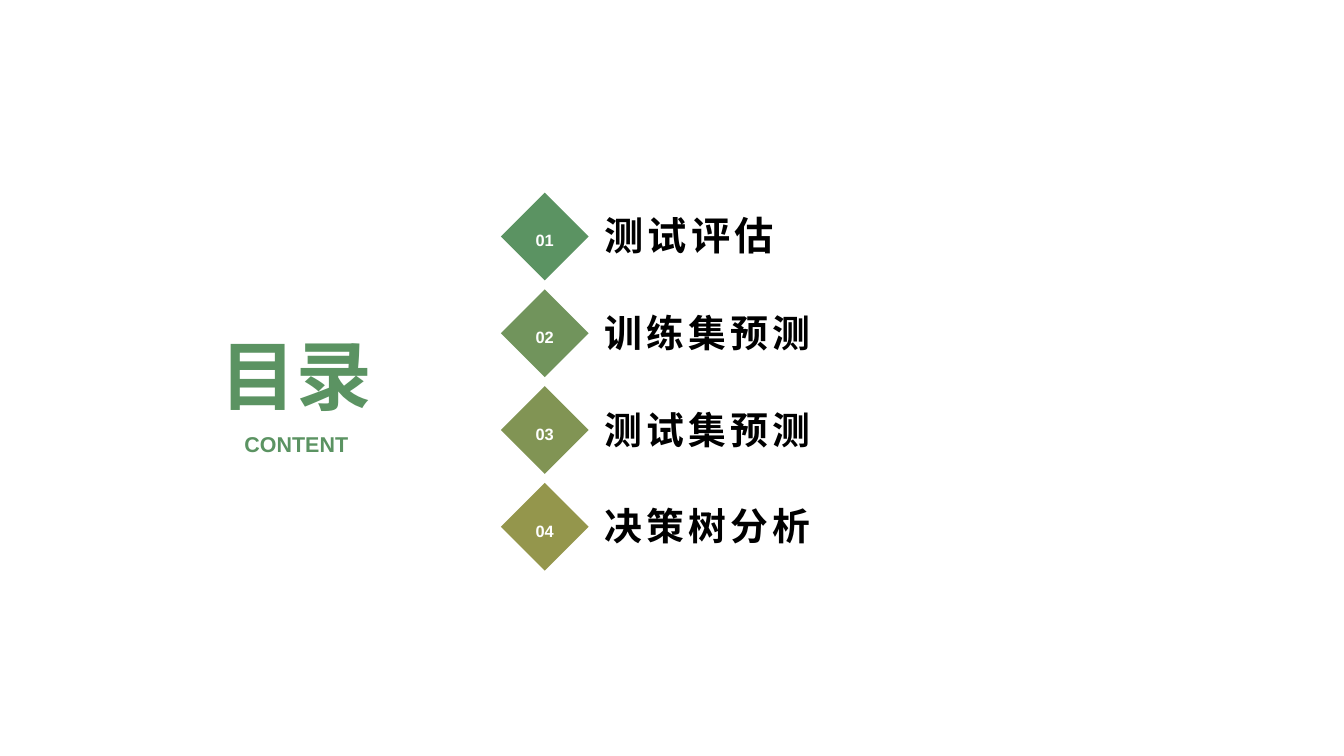
from pptx import Presentation
from pptx import util as u
from pptx.dml.color import RGBColor
from pptx.enum import shapes, text

GREEN = RGBColor(0x5B, 0x93, 0x62)
MOSS = RGBColor(0x71, 0x94, 0x5C)
OLIVE = RGBColor(0x81, 0x94, 0x54)
KHAKI = RGBColor(0x94, 0x96, 0x4C)
WHITE = RGBColor(0xFF, 0xFF, 0xFF)
BLACK = RGBColor(0, 0, 0)

CHAPTERS = [
    ("测试评估", GREEN, 28),
    ("训练集预测", MOSS, 27),
    ("测试集预测", OLIVE, 27),
    ("决策树分析", KHAKI, 27),
]
FIRST_TOP = 137.6
ROW_STEP = 69.1
DIAMOND_LEFT, DIAMOND_SIZE = 357.8, 62.7
LABEL_LEFT, LABEL_OFFSET = 424.8, 15.8
LABEL_WIDTH, LABEL_HEIGHT = 272.2, 31
HEADING_LEFT, HEADING_WIDTH = 143.3, 136.8


def write_text(shape, content, *, size, color, line_spacing=1.2,
               align=text.PP_ALIGN.CENTER, anchor=text.MSO_ANCHOR.TOP,
               bottom_inset=3.6, letter_spacing=0):
    """Fill a shape with one bold, formatted line of text."""
    frame = shape.text_frame
    frame.word_wrap = True
    frame.auto_size = text.MSO_AUTO_SIZE.NONE
    frame.vertical_anchor = anchor
    frame.margin_left = frame.margin_right = u.Pt(7.2)
    frame.margin_top, frame.margin_bottom = u.Pt(3.6), u.Pt(bottom_inset)
    paragraph = frame.paragraphs[0]
    paragraph.alignment = align
    paragraph.line_spacing = line_spacing
    paragraph.space_before = u.Pt(0)
    run = paragraph.add_run()
    run.text = content
    run.font.name = "Arial"
    run.font.size = u.Pt(size)
    run.font.bold = True
    run.font.color.rgb = color
    if letter_spacing:
        run._r.get_or_add_rPr().set("spc", str(letter_spacing * 100))


def add_text_box(slide, left, top, width, height, content, **text_format):
    """Add a text box holding one formatted line."""
    box = slide.shapes.add_textbox(*map(u.Pt, (left, top, width, height)))
    write_text(box, content, **text_format)


def add_number_diamond(slide, top, number, color):
    """Add a filled diamond with a two-digit chapter number."""
    box = map(u.Pt, (DIAMOND_LEFT, top, DIAMOND_SIZE, DIAMOND_SIZE))
    diamond = slide.shapes.add_shape(shapes.MSO_SHAPE.DIAMOND, *box)
    diamond.shadow.inherit = False
    diamond.fill.solid()
    diamond.fill.fore_color.rgb = color
    diamond.line.fill.background()
    write_text(diamond, f"{number:02d}", size=11.7, color=WHITE,
               line_spacing=1.4, anchor=text.MSO_ANCHOR.MIDDLE)


def add_chapter(slide, number, name, color, size):
    """Add one row of the contents list: diamond and chapter name."""
    top = FIRST_TOP + (number - 1) * ROW_STEP
    add_number_diamond(slide, top, number, color)
    add_text_box(slide, LABEL_LEFT, top + LABEL_OFFSET, LABEL_WIDTH,
                 LABEL_HEIGHT, name, size=size, color=BLACK,
                 align=text.PP_ALIGN.LEFT, anchor=text.MSO_ANCHOR.BOTTOM,
                 bottom_inset=0, letter_spacing=3)


def add_heading(slide):
    """Place the title and the caption below it."""
    title = slide.shapes.title
    title.left, title.top = u.Pt(HEADING_LEFT), u.Pt(218.2)
    title.width, title.height = u.Pt(HEADING_WIDTH), u.Pt(81.4)
    write_text(title, "目录", size=54, color=GREEN)
    add_text_box(slide, HEADING_LEFT, 298.8, HEADING_WIDTH, 28.8, "CONTENT",
                 size=15.3, color=GREEN, line_spacing=1.3)


def main():
    """Build the contents slide and save it."""
    presentation = Presentation()
    presentation.slide_width, presentation.slide_height = u.Pt(960), u.Pt(540)
    title_only = presentation.slide_layouts[5]
    slide = presentation.slides.add_slide(title_only)
    add_heading(slide)
    for number, chapter in enumerate(CHAPTERS, start=1):
        add_chapter(slide, number, *chapter)
    presentation.save("out.pptx")


main()
